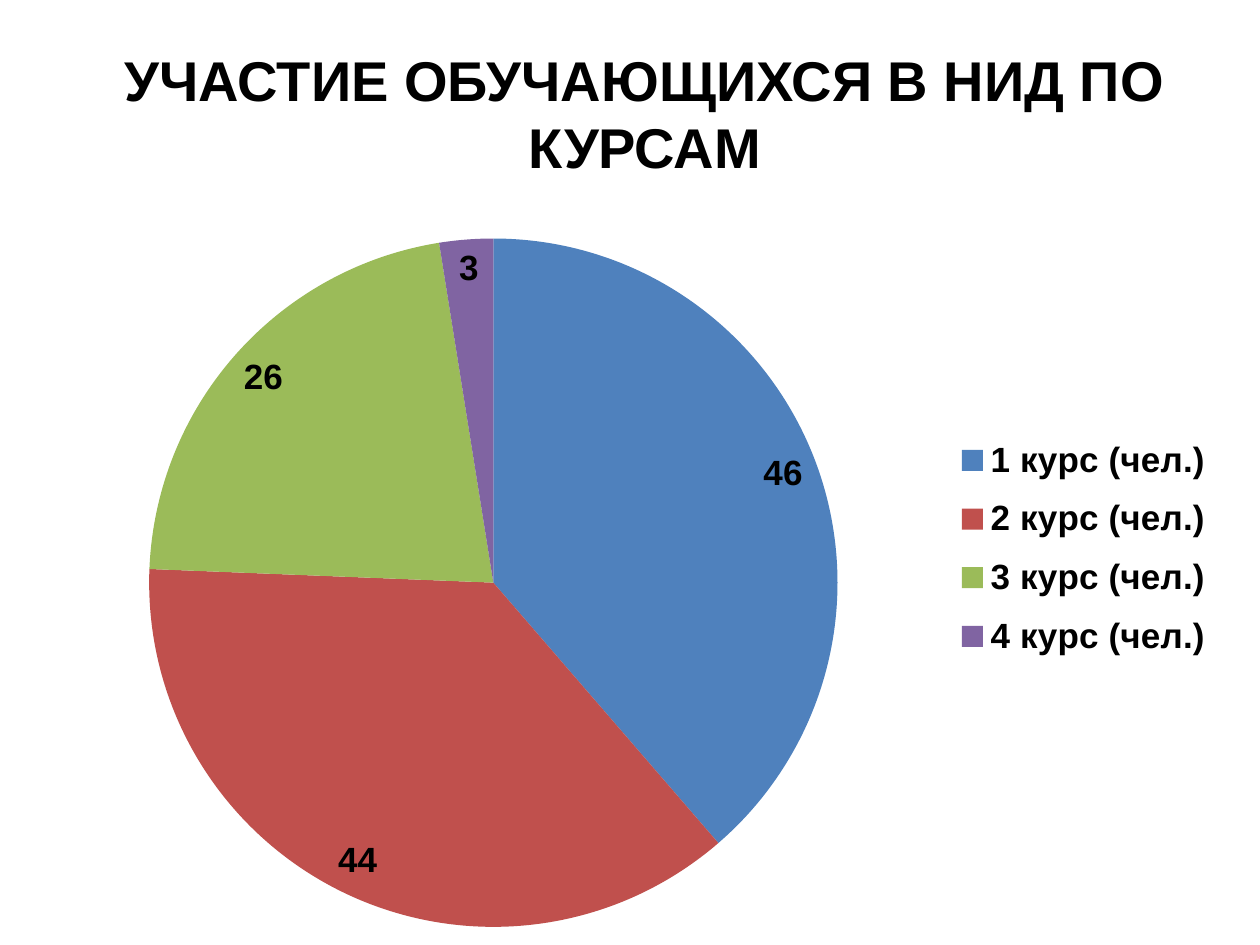
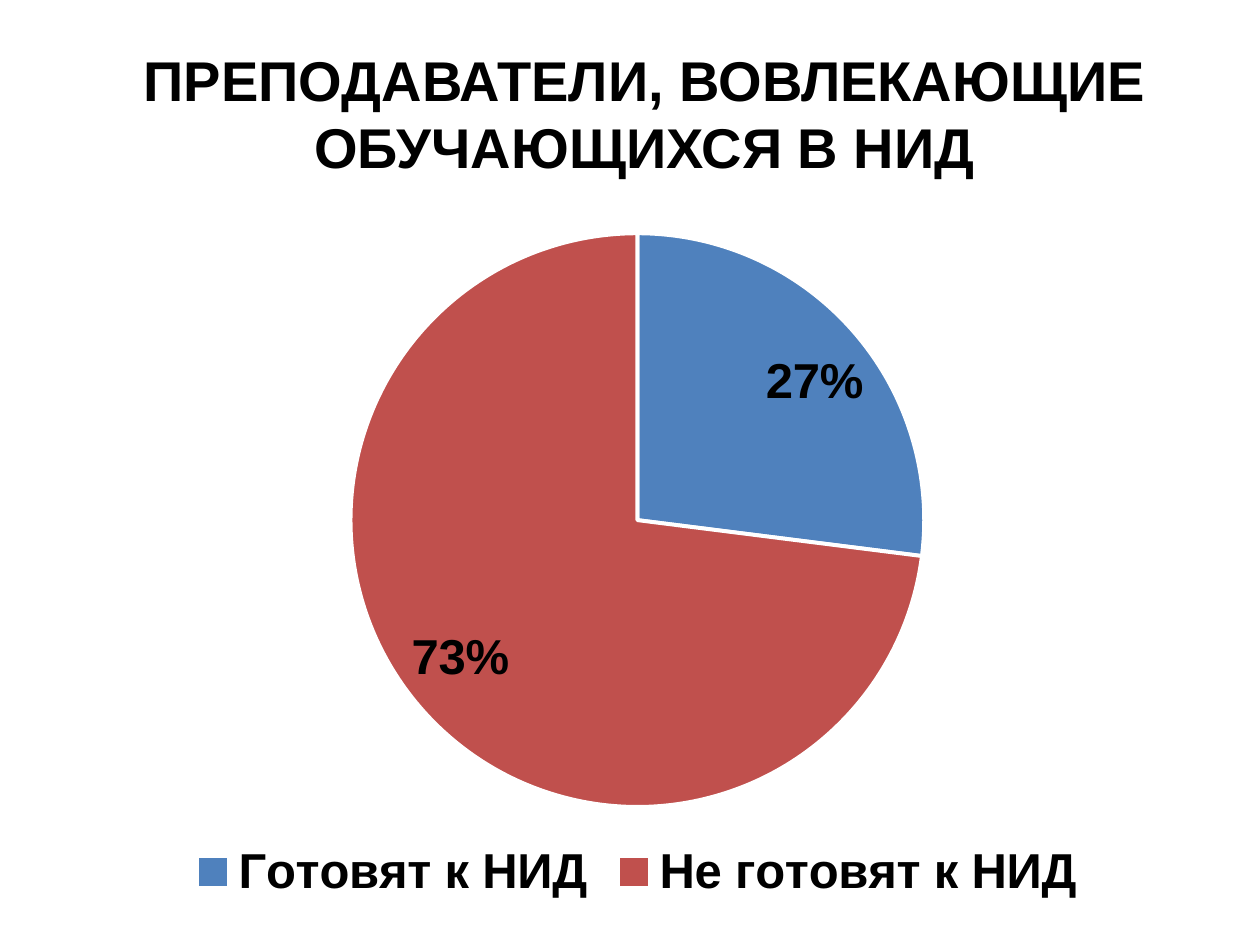
from dataclasses import dataclass
from typing import Optional

from lxml import etree
from pptx import Presentation
from pptx import util as u
from pptx.chart.data import CategoryChartData
from pptx.dml.color import RGBColor
from pptx.enum import chart as charts, text
from pptx.oxml.ns import qn

FONT = "Arial"
BLACK, WHITE = "000000", "FFFFFF"
SECTOR_COLOURS = ["4F81BD", "C0504D", "9BBB59", "8064A2"]
TITLE_BOX = (1.19, 0.79, 23.62, 3.0)
TITLE_FRAME = {
    "word_wrap": True,
    "auto_size": text.MSO_AUTO_SIZE.NONE,
    "vertical_anchor": text.MSO_ANCHOR.TOP,
}
Box = tuple[float, float, float, float]


@dataclass
class PieSlide:
    """Boxes are left, top, width, height: cm on the slide, fractions in the chart."""
    title: str
    shares: dict[str, float]
    chart_box: Box
    pie_area: Box
    legend_side: charts.XL_LEGEND_POSITION
    font_size: int
    number_format: str
    legend_area: Optional[Box] = None
    border_width: float = 0


PIE_SLIDES = [
    PieSlide(
        title="УЧАСТИЕ ОБУЧАЮЩИХСЯ В НИД ПО КУРСАМ",
        shares={"1 курс (чел.)": 46, "2 курс (чел.)": 44,
                "3 курс (чел.)": 26, "4 курс (чел.)": 3},
        chart_box=(0, 3.53, 25.7, 15.52),
        pie_area=(0.117, 0.082, 0.54, 0.895),
        legend_side=charts.XL_LEGEND_POSITION.RIGHT,
        font_size=20,
        number_format="General",
        legend_area=(0.745, 0.32, 0.21, 0.33),
    ),
    PieSlide(
        title="ПРЕПОДАВАТЕЛИ, ВОВЛЕКАЮЩИЕ ОБУЧАЮЩИХСЯ В НИД",
        shares={"Готовят к НИД": 0.27, "Не готовят к НИД": 0.73},
        chart_box=(1.19, 4.32, 23.32, 14.0),
        pie_area=(0.252, 0.027, 0.496, 0.827),
        legend_side=charts.XL_LEGEND_POSITION.BOTTOM,
        font_size=28,
        number_format="0%",
        border_width=2.25,
    ),
]


def colour(hex_value: str) -> RGBColor:
    return RGBColor.from_string(hex_value)


def set_font(font, size: int) -> None:
    for name, value in {"name": FONT, "size": u.Pt(size), "bold": True}.items():
        setattr(font, name, value)
    font.color.rgb = colour(BLACK)


def set_title(slide, wording: str) -> None:
    title = slide.shapes.title
    title.left, title.top, title.width, title.height = map(u.Cm, TITLE_BOX)
    for name, value in TITLE_FRAME.items():
        setattr(title.text_frame, name, value)
    paragraph = title.text_frame.paragraphs[0]
    paragraph.alignment = text.PP_ALIGN.CENTER
    run = paragraph.add_run()
    run.text = wording
    set_font(run.font, 32)


def place_in_chart(element, area: Box, index: int, inner: bool = False) -> None:
    """Give a plot area or legend a fixed layout, as its child number index."""
    for former in element.findall(qn("c:layout")):
        element.remove(former)
    layout = etree.Element(qn("c:layout"))
    manual = etree.SubElement(layout, qn("c:manualLayout"))
    settings = {"layoutTarget": "inner"} if inner else {}
    settings |= {"xMode": "edge", "yMode": "edge"}
    settings |= dict(zip("xywh", map(str, area)))
    for tag, value in settings.items():
        etree.SubElement(manual, qn(f"c:{tag}")).set("val", value)
    element.insert(index, layout)


def add_pie(slide, content: PieSlide) -> None:
    data = CategoryChartData(number_format=content.number_format)
    data.categories = list(content.shares)
    data.add_series("Series 1", list(content.shares.values()))
    chart = slide.shapes.add_chart(
        charts.XL_CHART_TYPE.PIE, *map(u.Cm, content.chart_box), data).chart
    chart.has_title = False
    set_font(chart.font, content.font_size)

    pie = chart.plots[0]
    pie.vary_by_categories = True
    for index in range(len(content.shares)):
        sector = pie.series[0].points[index].format
        sector.fill.solid()
        sector.fill.fore_color.rgb = colour(SECTOR_COLOURS[index])
        if content.border_width:
            sector.line.color.rgb = colour(WHITE)
            sector.line.width = u.Pt(content.border_width)
        else:
            sector.line.fill.background()

    pie.has_data_labels = True
    label_format = {
        "show_value": True,
        "show_percentage": False,
        "number_format": content.number_format,
        "number_format_is_linked": False,
        "position": charts.XL_LABEL_POSITION.BEST_FIT,
    }
    for name, value in label_format.items():
        setattr(pie.data_labels, name, value)
    set_font(pie.data_labels.font, content.font_size)

    chart.has_legend = True
    chart.legend.position = content.legend_side
    chart.legend.include_in_layout = False
    set_font(chart.legend.font, content.font_size)

    place_in_chart(chart.element.find(".//" + qn("c:plotArea")),
                   content.pie_area, 0, inner=True)
    if content.legend_area:
        place_in_chart(chart.element.find(".//" + qn("c:legend")),
                       content.legend_area, 1)


def main() -> None:
    deck = Presentation()
    deck.slide_width, deck.slide_height = u.Cm(25.4), u.Cm(19.05)
    title_only = deck.slide_layouts[5]
    for content in PIE_SLIDES:
        slide = deck.slides.add_slide(title_only)
        set_title(slide, content.title)
        add_pie(slide, content)
    deck.save("out.pptx")


if __name__ == "__main__":
    main()
